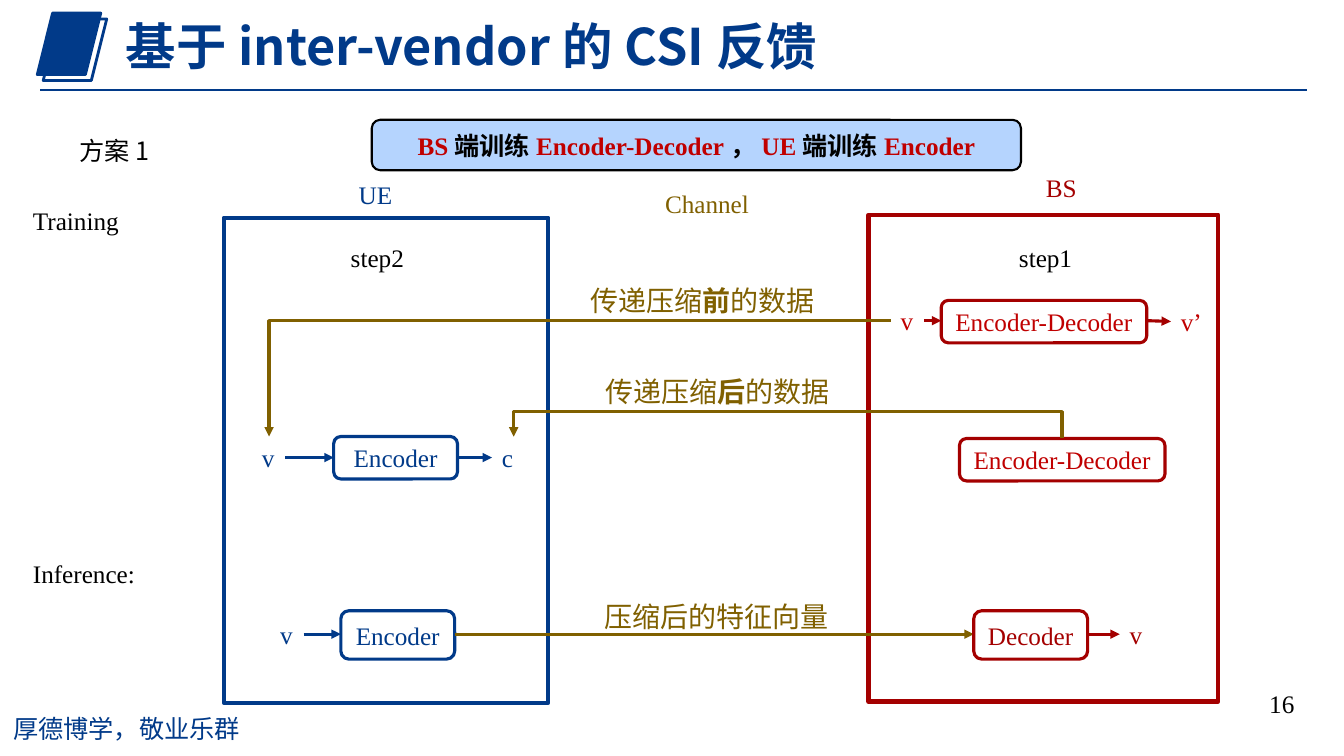
from dataclasses import dataclass

from lxml.etree import SubElement
from pptx import Presentation
from pptx.dml.color import RGBColor
from pptx.enum.shapes import MSO_CONNECTOR, MSO_SHAPE
from pptx.enum.text import MSO_ANCHOR, PP_ALIGN
from pptx.oxml.ns import qn
from pptx.util import Cm, Pt


@dataclass(frozen=True)
class Theme:
    navy: str = "013A89"
    crimson: str = "A40000"
    red: str = "C00000"
    olive: str = "806000"
    black: str = "000000"
    sky: str = "B5D4FE"
    latin: str = "Times New Roman"
    chinese: str = "Noto Sans CJK SC"
    title: float = 36
    note: float = 20
    body: float = 18
    frame: float = 3
    stroke: float = 2.25
    badge: float = 2
    thin: float = 1.5


THEME = Theme()


def style_span(span, color, size, bold, font):
    span.font.name = font
    span.font.size = Pt(size)
    span.font.bold = bold
    span.font.color.rgb = RGBColor.from_string(color)
    SubElement(span._r.get_or_add_rPr(), qn("a:ea")).set("typeface", THEME.chinese)


def write(shape, pieces, size, align, anchor, font=THEME.latin, wrap=True):
    frame = shape.text_frame
    frame.word_wrap = wrap
    frame.vertical_anchor = anchor
    para = frame.paragraphs[0]
    para.alignment = align
    for text, color, bold in pieces:
        span = para.add_run()
        span.text = text
        style_span(span, color, size, bold, font)
    return para


def add_label(page, at, pieces, size=THEME.body, align=PP_ALIGN.LEFT,
              anchor=MSO_ANCHOR.TOP, font=THEME.latin, wrap=True):
    box = page.shapes.add_textbox(*map(Cm, at))
    return write(box, pieces, size, align, anchor, font, wrap)


def add_word(page, left, top, width, text, color, font=THEME.latin):
    add_label(page, (left, top, width, 1.02), [(text, color, False)], font=font, wrap=False)


def add_note(page, left, top, width, *parts):
    pieces = [(text, THEME.olive, index == 1) for index, text in enumerate(parts)]
    add_label(page, (left, top, width, 1.12), pieces, THEME.note, PP_ALIGN.CENTER)


def add_outline(page, kind, at, color, weight, fill=None):
    shape = page.shapes.add_shape(kind, *map(Cm, at))
    shape.shadow.inherit = False
    if fill:
        shape.fill.solid()
        shape.fill.fore_color.rgb = RGBColor.from_string(fill)
    else:
        shape.fill.background()
    shape.line.color.rgb = RGBColor.from_string(color)
    shape.line.width = Pt(weight)
    return shape


def add_node(page, at, text, line_color, text_color):
    node = add_outline(page, MSO_SHAPE.ROUNDED_RECTANGLE, at, line_color, THEME.stroke)
    write(node, [(text, text_color, False)], THEME.body, PP_ALIGN.CENTER, MSO_ANCHOR.MIDDLE)


def add_line(page, start, end, color, weight=THEME.stroke, arrow=True,
             kind=MSO_CONNECTOR.STRAIGHT):
    line = page.shapes.add_connector(kind, *map(Cm, start + end))
    line.line.color.rgb = RGBColor.from_string(color)
    line.line.width = Pt(weight)
    properties = line._element.spPr
    if arrow:
        SubElement(properties.find(qn("a:ln")), qn("a:tailEnd")).set("type", "triangle")
    SubElement(properties, qn("a:effectLst"))
    return line


def add_elbow(page, at, turn, preset, bend=None):
    left, top, width, height = at
    elbow = add_line(page, (left, top + height), (left + width, top), THEME.olive,
                     kind=MSO_CONNECTOR.ELBOW)
    properties = elbow._element.spPr
    properties.find(qn("a:xfrm")).set("rot", str(turn * 60000))
    geometry = properties.find(qn("a:prstGeom"))
    geometry.set("prst", preset)
    if bend:
        guide = SubElement(geometry.find(qn("a:avLst")), qn("a:gd"))
        guide.set("name", "adj1")
        guide.set("fmla", f"val {bend * 100000}")


def add_heading(page):
    add_label(page, (0.08, 17.86, 6.32, 1.02), [("厚德博学，敬业乐群", THEME.navy, False)],
              font=THEME.chinese)
    for left, top, fill in ((0.94, 0.33, THEME.navy), (1.09, 0.48, None)):
        add_outline(page, MSO_SHAPE.PARALLELOGRAM, (left, top, 1.6, 1.55),
                    THEME.navy, THEME.badge, fill)
    add_line(page, (1.02, 2.26), (32.94, 2.26), THEME.navy, THEME.thin, arrow=False)
    para = add_label(page, (2.92, 0.38, 21.87, 1.7),
                     [("基于inter-vendor的CSI反馈", THEME.navy, True)],
                     THEME.title, anchor=MSO_ANCHOR.MIDDLE, font=THEME.chinese)
    para.line_spacing = 0.9
    banner = add_outline(page, MSO_SHAPE.ROUNDED_RECTANGLE, (9.37, 3.02, 16.36, 1.27),
                         THEME.black, THEME.thin, THEME.sky)
    parts = ("BS", "端训练", "Encoder-Decoder", "，", "UE", "端训练", "Encoder")
    pieces = [(text, THEME.red if text.isascii() else THEME.black, True) for text in parts]
    write(banner, pieces, THEME.body, PP_ALIGN.CENTER, MSO_ANCHOR.MIDDLE)
    add_label(page, (25.25, 17.22, 7.62, 1.02), [("16", THEME.black, False)],
              align=PP_ALIGN.RIGHT, anchor=MSO_ANCHOR.MIDDLE)


def add_sides(page):
    for at, color in (((5.64, 5.49, 8.18, 12.22), THEME.navy),
                      ((21.89, 5.41, 8.81, 12.27), THEME.crimson)):
        add_outline(page, MSO_SHAPE.RECTANGLE, at, color, THEME.frame)
    for left, top, width, text, color in (
            (8.79, 4.39, 1.37, "UE", THEME.navy),
            (26.11, 4.22, 1.3, "BS", THEME.crimson),
            (16.51, 4.62, 2.64, "Channel", THEME.olive),
            (8.59, 5.99, 2.11, "step2", THEME.black),
            (25.43, 5.97, 2.11, "step1", THEME.black),
            (0.58, 5.05, 3.4, "Training", THEME.black),
            (0.58, 13.94, 3.4, "Inference:", THEME.black)):
        add_word(page, left, top, width, text, color)
    add_word(page, 1.75, 3.28, 2.36, "方案1", THEME.black, THEME.chinese)


def add_training(page):
    add_word(page, 22.45, 7.57, 0.84, "v", THEME.red)
    add_line(page, (23.29, 8.08), (23.72, 8.08), THEME.crimson)
    add_node(page, (23.72, 7.57, 5.18, 1.07), "Encoder-Decoder", THEME.crimson, THEME.red)
    add_line(page, (28.9, 8.08), (29.51, 8.1), THEME.crimson)
    add_word(page, 29.51, 7.59, 1.04, "v’", THEME.red)

    add_word(page, 6.35, 11.02, 0.84, "v", THEME.navy)
    add_line(page, (7.19, 11.53), (8.41, 11.53), THEME.navy)
    add_node(page, (8.41, 11, 3.12, 1.07), "Encoder", THEME.navy, THEME.navy)
    add_line(page, (11.53, 11.53), (12.4, 11.53), THEME.navy)
    add_word(page, 12.4, 11.02, 1.04, "c", THEME.navy)

    add_node(page, (24.18, 11.05, 5.18, 1.07), "Encoder-Decoder", THEME.crimson, THEME.red)
    add_elbow(page, (6.78, 8.08, 15.67, 2.92), 180, "bentConnector2")
    add_elbow(page, (19.84, 4.11, 0.03, 13.82), 270, "bentConnector3", 22)
    add_note(page, 14.45, 7.01, 6.5, "传递压缩", "前", "的数据")
    add_note(page, 14.83, 9.3, 6.5, "传递压缩", "后", "的数据")


def add_inference(page):
    add_word(page, 6.81, 15.47, 0.84, "v", THEME.navy)
    add_line(page, (7.65, 15.98), (8.59, 15.98), THEME.navy)
    add_node(page, (8.59, 15.39, 2.87, 1.22), "Encoder", THEME.navy, THEME.navy)
    add_line(page, (11.46, 15.98), (24.54, 15.98), THEME.olive)
    add_node(page, (24.54, 15.39, 2.87, 1.22), "Decoder", THEME.crimson, THEME.crimson)
    add_line(page, (27.41, 15.98), (28.22, 15.98), THEME.crimson)
    add_word(page, 28.22, 15.47, 0.84, "v", THEME.crimson)
    add_note(page, 14.94, 14.99, 6.25, "压缩后的特征向量")


def main():
    deck = Presentation()
    deck.slide_width = Cm(33.87)
    deck.slide_height = Cm(19.05)
    page = deck.slides.add_slide(deck.slide_layouts[6])
    add_heading(page)
    add_sides(page)
    add_training(page)
    add_inference(page)
    deck.save("out.pptx")


if __name__ == "__main__":
    main()
